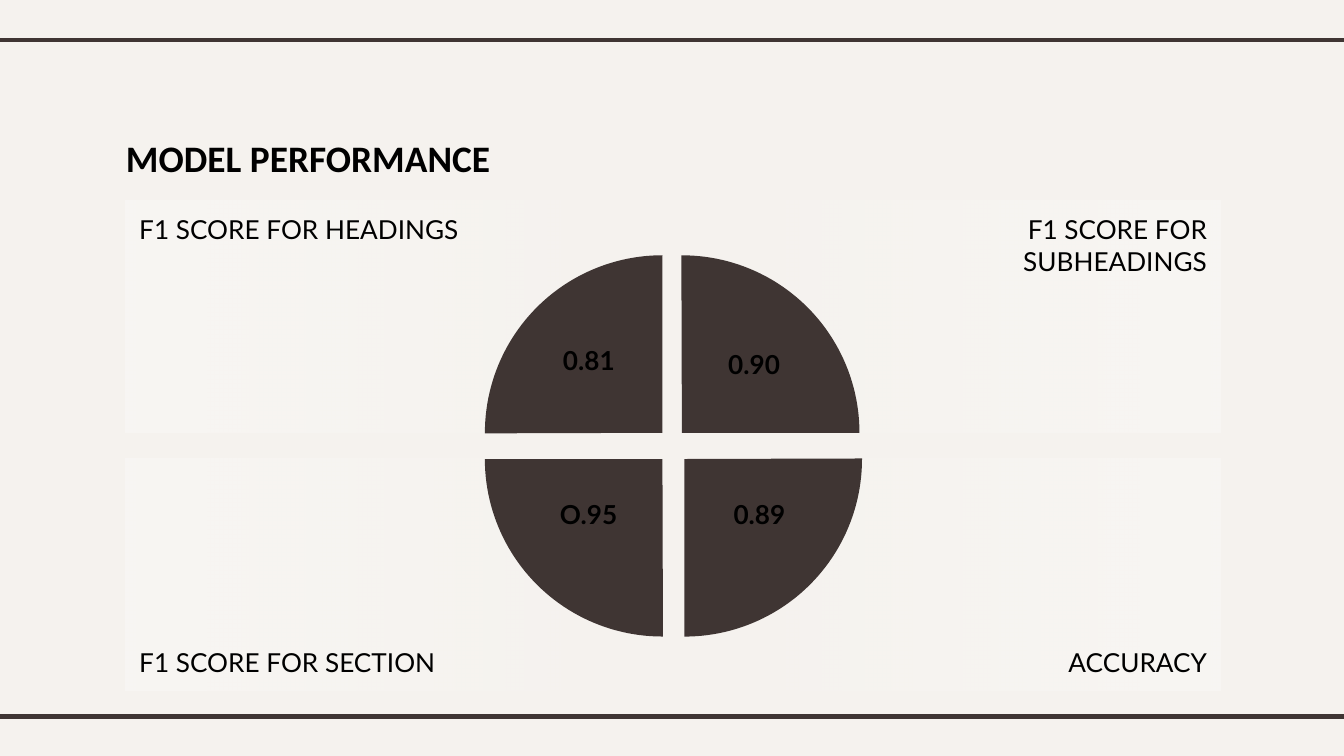
from lxml.etree import SubElement
from pptx import Presentation
from pptx.dml.color import RGBColor
from pptx.enum.shapes import MSO_CONNECTOR, MSO_SHAPE
from pptx.enum.text import MSO_ANCHOR, PP_ALIGN
from pptx.oxml.ns import qn
from pptx.util import Pt

DARK, PAPER, WHITE, BLACK = "3F3533", "F5F2EE", "FFFFFF", "000000"


def color(code):
    return RGBColor.from_string(code)


def write(shape, text, size, face, align, anchor, pads, bold=False):
    frame = shape.text_frame
    frame.word_wrap = True
    frame.vertical_anchor = anchor
    left, top, right, bottom = pads
    frame.margin_left, frame.margin_top = Pt(left), Pt(top)
    frame.margin_right, frame.margin_bottom = Pt(right), Pt(bottom)
    para = frame.paragraphs[0]
    para.text = text
    para.alignment = align
    para.font.size = Pt(size)
    para.font.name = face
    para.font.bold = bold
    para.font.color.rgb = color(BLACK)


deck = Presentation()
deck.slide_width, deck.slide_height = Pt(720), Pt(405)
slide = deck.slides.add_slide(deck.slide_layouts[6])
slide.background.fill.solid()
slide.background.fill.fore_color.rgb = color(PAPER)
shapes = slide.shapes

# Rules across the top and bottom
for y in (383.9, 21.5):
    rule = shapes.add_connector(MSO_CONNECTOR.STRAIGHT, Pt(-6), Pt(y), Pt(726), Pt(y))
    rule.line.color.rgb = color(DARK)
    rule.line.width = Pt(2.25)
    SubElement(rule._element.spPr, qn("a:effectLst"))

# Title
title = shapes.add_textbox(Pt(67.5), Pt(65.5), Pt(417.6), Pt(31))
write(title, "MODEL PERFORMANCE", 20, "Calibri", PP_ALIGN.LEFT,
      MSO_ANCHOR.BOTTOM, (0, 0, 0, 0), True)

# Four panels that fade toward the middle
labels = [
    ["F1 SCORE FOR HEADINGS", "F1 SCORE FOR SUBHEADINGS"],
    ["F1 SCORE FOR SECTION", "ACCURACY"],
]
sides = [
    (67.5, 0, PP_ALIGN.LEFT, (7.2, 7.2, 108, 7.2)),
    (366.5, 180, PP_ALIGN.RIGHT, (108, 7.2, 7.2, 7.2)),
]
rows = [(107.3, MSO_ANCHOR.TOP), (245.5, MSO_ANCHOR.BOTTOM)]
for (top, anchor), names in zip(rows, labels):
    for (left, angle, align, pads), name in zip(sides, names):
        panel = shapes.add_shape(MSO_SHAPE.RECTANGLE, Pt(left), Pt(top), Pt(287.3), Pt(124.6))
        panel.shadow.inherit = False
        panel.line.fill.background()
        panel.fill.gradient()
        panel.fill.gradient_angle = angle
        for stop, alpha in zip(panel.fill.gradient_stops, (30000, 0)):
            stop.color.rgb = color(WHITE)
        tints = panel._element.spPr.iter(qn("a:srgbClr"))
        for tint, alpha in zip(list(tints), (30000, 0)):
            SubElement(tint, qn("a:alpha"), val=str(alpha))
        write(panel, name, 14, "Lato", align, anchor, pads)

# Quarter circles, clockwise from top left
spots = [(259.8, 136.8), (270.2, 136.8), (271.6, 150.8), (259.8, 150.8)]
for turn, (left, top) in enumerate(spots):
    wedge = shapes.add_shape(MSO_SHAPE.PIE, Pt(left), Pt(top), Pt(190.2), Pt(190.2))
    wedge.adjustments[0] = 107.89
    wedge.adjustments[1] = 162
    wedge.rotation = 90 * turn
    wedge.shadow.inherit = False
    wedge.fill.solid()
    wedge.fill.fore_color.rgb = color(DARK)
    wedge.line.fill.background()

# Scores
scores = [
    ("0.81", 282, 180.7, 67, 36.7),
    ("0.90", 364.5, 183.2, 79, 90),
    ("O.95", 288, 263.5, 54.7, 35.3),
    ("0.89", 371.2, 263.5, 71.3, 33.8),
]
for text, left, top, width, height in scores:
    box = shapes.add_textbox(Pt(left), Pt(top), Pt(width), Pt(height))
    write(box, text, 14, "Lato", PP_ALIGN.CENTER, MSO_ANCHOR.TOP, (7.2, 3.6, 7.2, 3.6), True)

deck.save("out.pptx")
